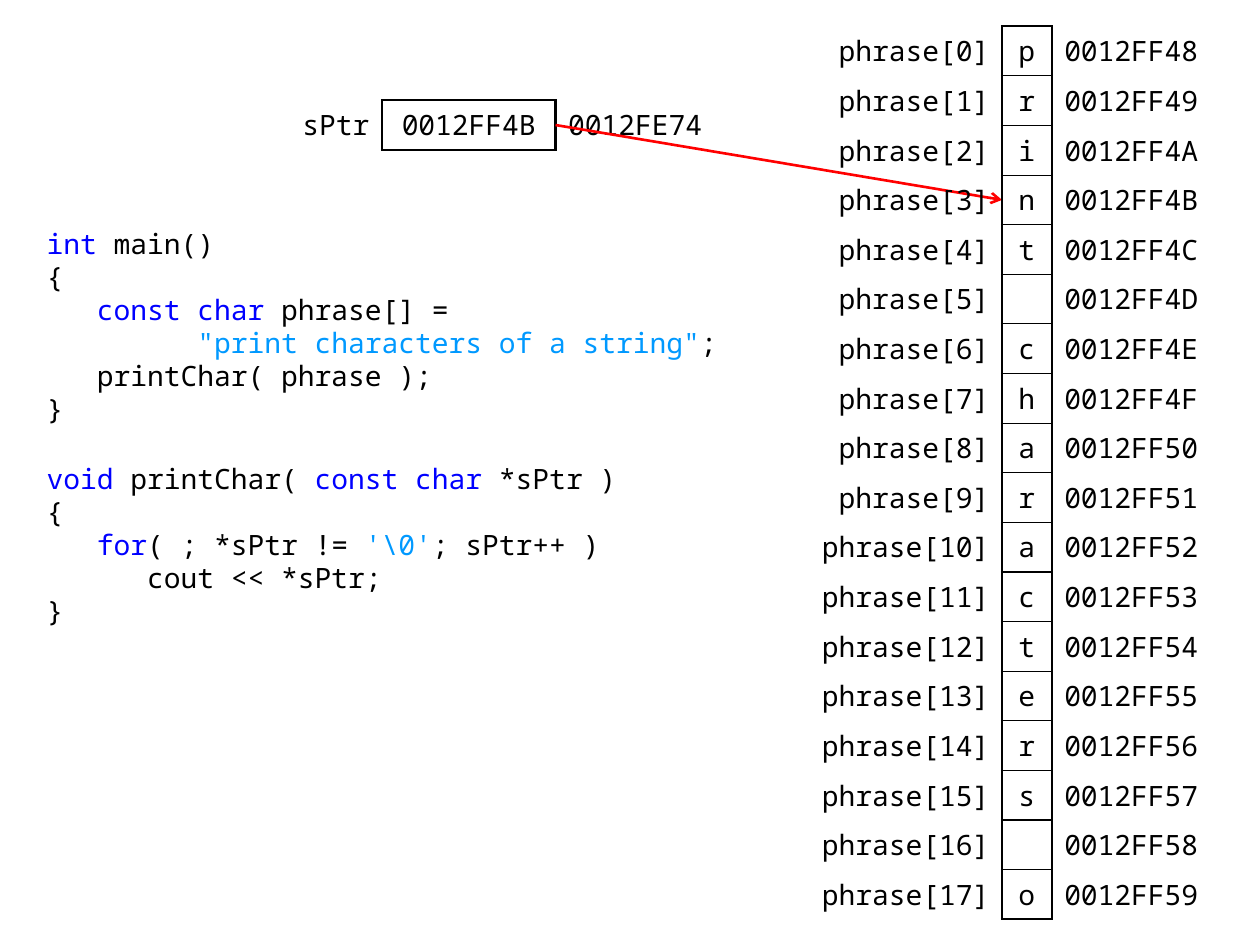
"""Build a slide showing a char pointer walking through a string in memory."""
from dataclasses import dataclass

from pptx import Presentation
from pptx.dml.color import RGBColor
from pptx.enum.shapes import MSO_CONNECTOR
from pptx.enum.text import MSO_ANCHOR, PP_ALIGN
from pptx.oxml import parse_xml
from pptx.oxml.ns import nsdecls, qn
from pptx.util import Cm, Inches, Pt

FONT = "Noto Sans Mono"
HUES = {"ink": "000000", "key": "0000FF", "str": "0099FF", "arrow": "FF0000", "paper": "FFFFFF"}
SIZE = 16
THICK, THIN = 1.5, 0.75
PITCH = 21.2
GAP = 1.6
PHRASE = "print characters o"
START = 0x0012FF48
TARGET = 3
ALIGNS = (PP_ALIGN.RIGHT, PP_ALIGN.CENTER, PP_ALIGN.LEFT)


@dataclass(frozen=True)
class Grid:
    """Table placed in grid columns and rows of one centimetre."""
    col: float
    row: float
    widths: tuple
    rows: list
    fills: tuple

    def edge(self, count: int) -> float:
        return self.col + sum(self.widths[:count])

    def middle(self, index: int) -> float:
        return self.row + index + 0.5


@dataclass(frozen=True)
class Line:
    """Code line made of (text, colour) tokens, with blank lines above it."""
    tokens: tuple
    blank: int = 0


CODE = [
    Line((("int", "key"), (" main()", "ink"))),
    Line((("{", "ink"),)),
    Line((("   ", "ink"), ("const char", "key"), (" phrase[] =", "ink"))),
    Line((("         ", "ink"), ('"print characters of a string"', "str"), (";", "ink"))),
    Line((("   printChar( phrase );", "ink"),)),
    Line((("}", "ink"),)),
    Line((("void ", "key"), ("printChar( ", "ink"), ("const char", "key"), (" *sPtr )", "ink")), 1),
    Line((("{", "ink"),)),
    Line((("   ", "ink"), ("for", "key"), ("( ; *sPtr != ", "ink"), (r"'\0'", "str"),
          ("; sPtr++ )", "ink"))),
    Line((("      cout << *sPtr;", "ink"),)),
    Line((("}", "ink"),)),
]
POINTER = Grid(5.7, 2.02, (2, 3.5, 3.5),
               [("sPtr", f"{START + TARGET:08X}", "0012FE74")], (None, None, None))
MEMORY = Grid(16.2, 0.53, (4, 1, 3.5),
              [(f"phrase[{i}]", char.strip(), f"{START + i:08X}") for i, char in enumerate(PHRASE)],
              (None, "paper", "paper"))


def hue(name: str) -> RGBColor:
    return RGBColor.from_string(HUES[name])


def write(para, text: str, *, color: str = "ink", size: float = SIZE) -> None:
    run = para.add_run()
    run.text = text
    run.font.name, run.font.size = FONT, Pt(size)
    run.font.color.rgb = hue(color)


def border(cell, **sides: float) -> None:
    props = cell._tc.get_or_add_tcPr()
    for side in "LRTB":
        width = sides.get(side, 0)
        paint = f'<a:solidFill><a:srgbClr val="{HUES["ink"]}"/></a:solidFill>' if width else "<a:noFill/>"
        props.append(parse_xml(f'<a:ln{side} {nsdecls("a")} w="{Pt(width)}">{paint}</a:ln{side}>'))


def draw_grid(slide, grid: Grid) -> None:
    count = len(grid.rows)
    table = slide.shapes.add_table(count, len(grid.widths), Cm(grid.col), Cm(grid.row),
                                   Cm(sum(grid.widths)), Cm(count)).table
    table.first_row = table.horz_banding = False
    for col, width in zip(table.columns, grid.widths):
        col.width = Cm(width)
    for r, texts in enumerate(grid.rows):
        edges = ({"R": THICK},
                 {"L": THICK, "R": THICK, "T": THIN if r else THICK,
                  "B": THIN if r < count - 1 else THICK},
                 {"L": THICK})
        for c, text in enumerate(texts):
            cell = table.cell(r, c)
            border(cell, **edges[c])
            if grid.fills[c]:
                cell.fill.solid()
                cell.fill.fore_color.rgb = hue(grid.fills[c])
            else:
                cell.fill.background()
            cell.vertical_anchor = MSO_ANCHOR.MIDDLE
            cell.margin_left = cell.margin_right = Inches(0.1)
            cell.margin_top = cell.margin_bottom = Inches(0.04)
            para = cell.text_frame.paragraphs[0]
            para.alignment = ALIGNS[c]
            if text:
                write(para, text)


def draw_code(slide, lines: list) -> None:
    frame = slide.shapes.add_textbox(Cm(0.69), Cm(4.52), Cm(14.5), Cm(10)).text_frame
    frame.word_wrap = True
    for i, line in enumerate(lines):
        para = frame.add_paragraph() if i else frame.paragraphs[0]
        para.line_spacing = 0.9
        if i:
            para.space_before = Pt(GAP + line.blank * PITCH)
        for text, color in line.tokens:
            write(para, text, color=color)


def draw_arrow(slide) -> None:
    arrow = slide.shapes.add_connector(
        MSO_CONNECTOR.STRAIGHT, Cm(POINTER.edge(2)), Cm(POINTER.middle(0)),
        Cm(MEMORY.edge(1)), Cm(MEMORY.middle(TARGET)))
    arrow.line.color.rgb = hue("arrow")
    arrow.line.width = Pt(THICK)
    props = arrow.element.spPr
    props.find(qn("a:ln")).append(parse_xml(f'<a:tailEnd {nsdecls("a")} type="arrow"/>'))
    props.append(parse_xml(f'<a:effectLst {nsdecls("a")}/>'))


def main() -> None:
    deck = Presentation()
    deck.slide_width, deck.slide_height = Inches(10), Inches(7.5)
    slide = deck.slides.add_slide(deck.slide_layouts[6])
    draw_code(slide, CODE)
    draw_grid(slide, POINTER)
    draw_arrow(slide)
    draw_grid(slide, MEMORY)
    deck.save("out.pptx")


if __name__ == "__main__":
    main()
